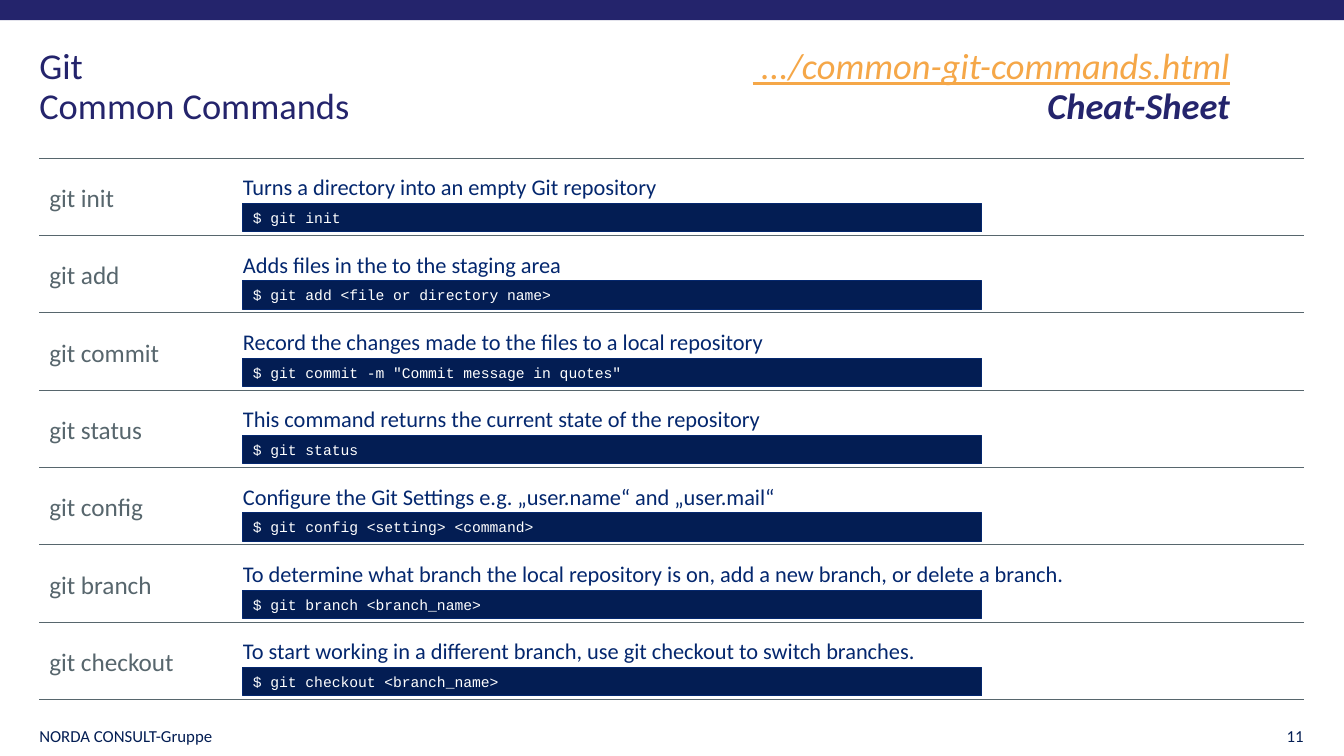
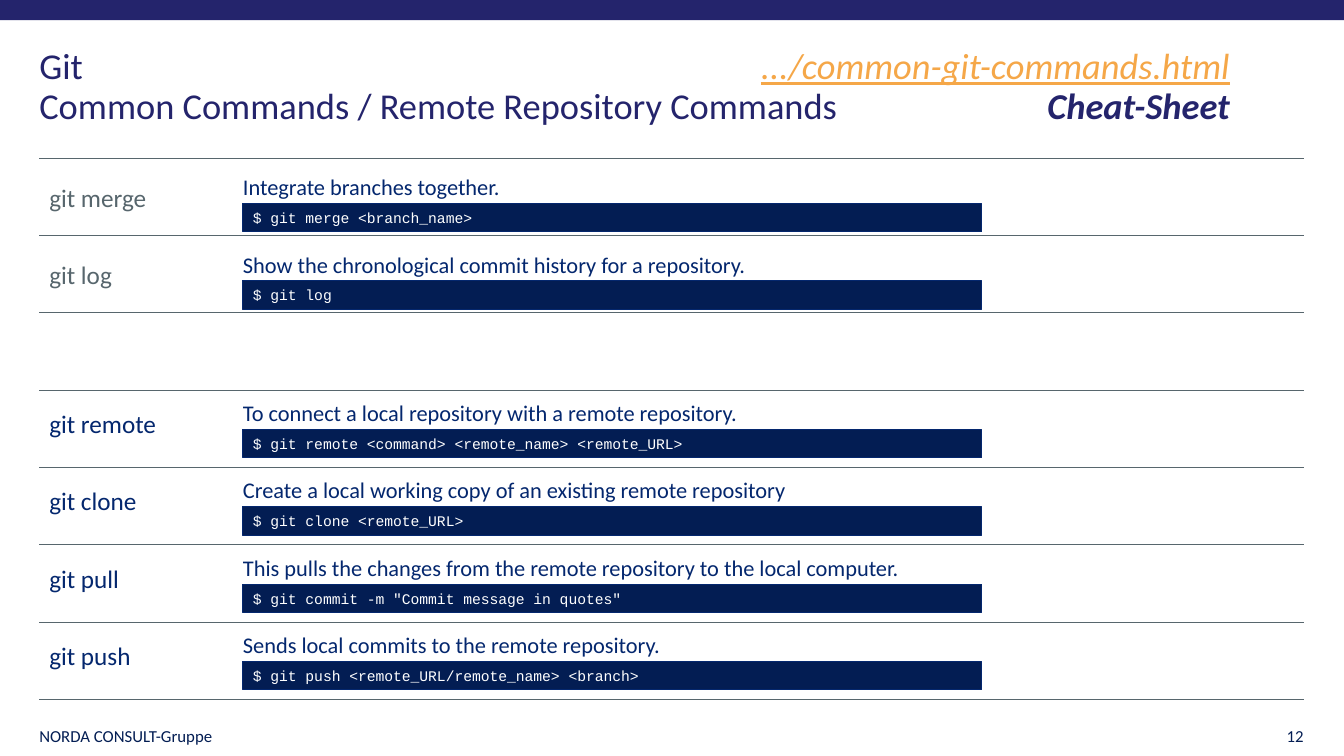
import dataclasses
import lxml.etree
import pptx
import pptx.dml.color
import pptx.enum.shapes
import pptx.enum.text
import pptx.oxml.ns
import pptx.util

Inch = pptx.util.Inches
Align = pptx.enum.text.PP_ALIGN
Anchor = pptx.enum.text.MSO_ANCHOR


# Theme
@dataclasses.dataclass(frozen=True)
class Theme:
    band: str = "24246C"
    rule: str = "57666D"
    blue: str = "04276E"
    dark: str = "031D53"
    link: str = "F5A748"
    white: str = "FFFFFF"
    sans: str = "Calibri"
    mono: str = "Courier New"
    title: float = 26
    label: float = 18
    text: float = 16
    foot: float = 12
    code: float = 10.5


THEME = Theme()

# Content: label, description, command; None leaves a row empty
FOOT = "NORDA CONSULT-Gruppe"
SHEET = "Cheat-Sheet"
LOCAL = [
    ("git init", "Turns a directory into an empty Git repository", "$ git init"),
    ("git add", "Adds files in the to the staging area",
     "$ git add <file or directory name>"),
    ("git commit", "Record the changes made to the files to a local repository",
     '$ git commit -m "Commit message in quotes"'),
    ("git status", "This command returns the current state of the repository",
     "$ git status"),
    ("git config", "Configure the Git Settings e.g. „user.name“ and „user.mail“",
     "$ git config <setting> <command>"),
    ("git branch", "To determine what branch the local repository is on, "
     "add a new branch, or delete a branch.", "$ git branch <branch_name>"),
    ("git checkout", "To start working in a different branch, "
     "use git checkout to switch branches.", "$ git checkout <branch_name>"),
]
REMOTE = [
    ("git merge", "Integrate branches together.", "$ git merge <branch_name>"),
    ("git log", "Show the chronological commit history for a repository.",
     "$ git log"),
    None,
    ("git remote", "To connect a local repository with a remote repository.",
     "$ git remote <command> <remote_name> <remote_URL>"),
    ("git clone", "Create a local working copy of an existing remote repository",
     "$ git clone <remote_URL>"),
    ("git pull", "This pulls the changes from the remote repository "
     "to the local computer.", '$ git commit -m "Commit message in quotes"'),
    ("git push", "Sends local commits to the remote repository.",
     "$ git push <remote_URL/remote_name> <branch>"),
]
PAGES = [
    dict(number=11, topic="Common Commands",
         link=" .../common-git-commands.html", rows=LOCAL),
    dict(number=12, topic="Common Commands / Remote Repository Commands",
         link=".../common-git-commands.html", rows=REMOTE),
]

# Grid
WIDE, HIGH = 13.33, 7.5
LEFT, RIGHT = 0.39, 12.93
TOP, END, ROWS = 1.57, 6.94, 7
STEP = (END - TOP) / ROWS
SPLIT = 2.41
TAB = 11.81
LIFT = 0.06


def color(value):
    return pptx.dml.color.RGBColor.from_string(value)


def style(para, size, tint, face=THEME.sans):
    para.font.size = pptx.util.Pt(size)
    para.font.name = face
    para.font.color.rgb = color(tint)


def inset(frame, *sides):
    (frame.margin_left, frame.margin_top,
     frame.margin_right, frame.margin_bottom) = map(Inch, sides)


def write(slide, text, box, size, tint, sides=(0, 0, 0, 0),
          anchor=Anchor.TOP, align=Align.LEFT):
    shape = slide.shapes.add_textbox(*map(Inch, box))
    frame = shape.text_frame
    frame.word_wrap = True
    frame.vertical_anchor = anchor
    inset(frame, *sides)
    para = frame.paragraphs[0]
    para.text = text
    para.alignment = align
    style(para, size, tint)
    return shape


def block(slide, box, fill, line=None):
    shape = slide.shapes.add_shape(
        pptx.enum.shapes.MSO_SHAPE.RECTANGLE, *map(Inch, box))
    shape.shadow.inherit = False
    shape.fill.solid()
    shape.fill.fore_color.rgb = color(fill)
    if line:
        shape.line.color.rgb = color(line)
        shape.line.width = pptx.util.Pt(0.75)
    else:
        shape.line.fill.background()
    return shape


def rule(slide, y):
    line = slide.shapes.add_connector(
        pptx.enum.shapes.MSO_CONNECTOR.STRAIGHT,
        Inch(LEFT), Inch(y), Inch(RIGHT), Inch(y))
    line.line.color.rgb = color(THEME.rule)
    line.line.width = pptx.util.Pt(0.75)
    lxml.etree.SubElement(line.element.spPr, pptx.oxml.ns.qn("a:effectLst"))
    return line


def foot(slide, text, x, align):
    return write(slide, text, (x, 7.1, 3, 0.4), THEME.foot, THEME.dark,
                 anchor=Anchor.MIDDLE, align=align)


def share(slide):
    """Draw the band, rules and footer, then move them to the layout."""
    parts = [block(slide, (0, 0, WIDE, 0.2), THEME.band),
             foot(slide, FOOT, LEFT, Align.LEFT)]
    parts += [rule(slide, TOP + STEP * i) for i in range(ROWS + 1)]
    tree = slide.slide_layout.shapes.element
    for part in parts:
        tree.append(part.element)


def head(slide, topic, link):
    shape = slide.shapes.title
    shape.left, shape.top, shape.width, shape.height = map(
        Inch, (LEFT, 0.39, RIGHT - LEFT, 0.87))
    frame = shape.text_frame
    frame.auto_size = pptx.enum.text.MSO_AUTO_SIZE.NONE
    frame.vertical_anchor = Anchor.BOTTOM
    inset(frame, 0, 0, 0, 0)
    para = frame.paragraphs[0]
    para.alignment = Align.LEFT
    para.line_spacing = 0.9
    # Right tab that lines up the link and the sheet name
    tabs = lxml.etree.SubElement(
        para._p.get_or_add_pPr(), pptx.oxml.ns.qn("a:tabLst"))
    lxml.etree.SubElement(tabs, pptx.oxml.ns.qn("a:tab"),
                          pos=str(Inch(TAB)), algn="r")
    style(para, THEME.title, THEME.band)

    def put(text):
        run = para.add_run()
        run.text = text
        return run.font

    put("Git\t")
    font = put(link)
    font.italic = font.underline = True
    font.color.rgb = color(THEME.link)
    para.add_line_break()
    put(topic + "\t")
    font = put(SHEET)
    font.bold = font.italic = True


def entry(slide, y, label, text, code, tint):
    write(slide, label, (LEFT, y + 0.19, SPLIT - LEFT, 0.4),
          THEME.label, tint, (0.1, 0.05, 0.1, 0.05))
    write(slide, text, (SPLIT, y + 0.15, RIGHT - SPLIT, 0.47),
          THEME.text, THEME.blue, (0, 0, 0, 0.03))
    bar = block(slide, (SPLIT, y + 0.45, 7.33, 0.28), THEME.dark, THEME.blue)
    para = bar.text_frame.paragraphs[0]
    para.text = code
    para.alignment = Align.LEFT
    style(para, THEME.code, THEME.white, THEME.mono)


def main():
    deck = pptx.Presentation()
    deck.slide_width, deck.slide_height = Inch(WIDE), Inch(HIGH)
    layout = deck.slide_layouts.get_by_name("Title Only")
    for i, page in enumerate(PAGES):
        slide = deck.slides.add_slide(layout)
        if i == 0:
            share(slide)
        head(slide, page["topic"], page["link"])
        foot(slide, str(page["number"]), RIGHT - 3, Align.RIGHT)
        # Rows after the empty one sit slightly higher, with blue labels
        y, tint = TOP, THEME.rule
        for row in page["rows"]:
            if row:
                entry(slide, y, *row, tint)
            else:
                y, tint = y - LIFT, THEME.blue
            y += STEP
    deck.save("out.pptx")


if __name__ == "__main__":
    main()
